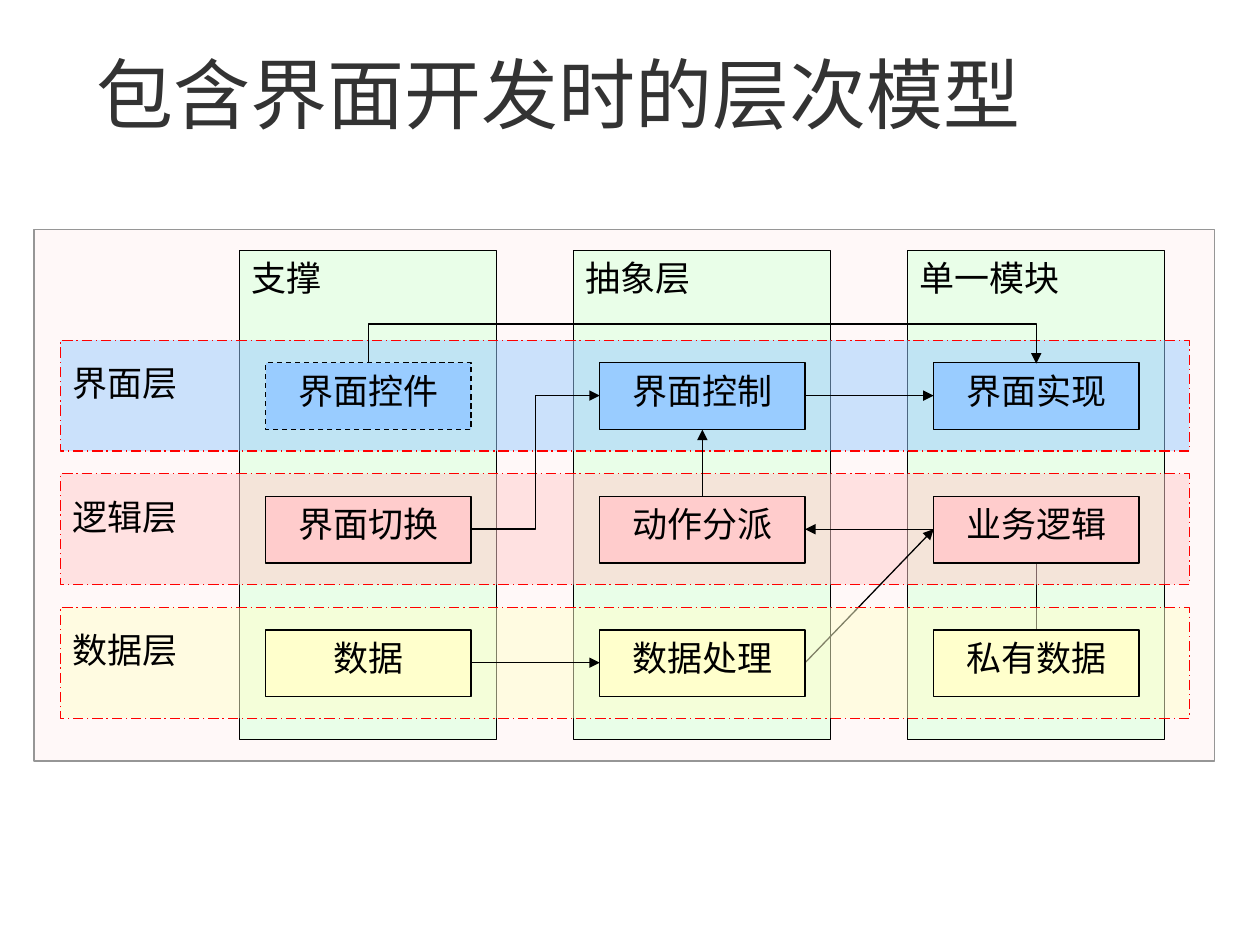
from dataclasses import dataclass
from lxml.etree import SubElement
from pptx import Presentation
from pptx.dml.color import RGBColor
from pptx.enum.dml import MSO_LINE
from pptx.enum.shapes import MSO_CONNECTOR, MSO_SHAPE
from pptx.enum.text import MSO_ANCHOR, PP_ALIGN
from pptx.oxml.ns import qn
from pptx.util import Inches, Pt


@dataclass(frozen=True)
class Theme:
    font: str = "Noto Sans CJK SC"
    title_size: int = 44
    body_size: int = 20
    line_width: float = 0.75
    title: str = "333333"
    ink: str = "000000"
    panel: str = "FFEFEF"
    panel_line: str = "969696"
    column: str = "E7FFE7"
    band_line: str = "FF0000"
    view: str = "99CCFF"
    logic: str = "FFCCCC"
    data: str = "FFFFCC"


COLUMN_X, ROW_Y, PITCH_X, PITCH_Y = 1.9, 2.7, 2.65, 1.06
COLUMN_W, BAND_H = 2.04, 0.88
BOX_DX, BOX_DY, BOX_W, BOX_H = 0.21, 0.18, 1.63, 0.53


def write_text(tf, text, *, size, color, font, align=PP_ALIGN.LEFT,
               anchor=MSO_ANCHOR.TOP, top=0.05):
    tf.word_wrap = True
    tf.vertical_anchor = anchor
    tf.margin_top = Inches(top)
    p = tf.paragraphs[0]
    p.alignment = align
    r = p.add_run()
    r.text = text
    r.font.size = Pt(size)
    r.font.name = font
    r.font.color.rgb = RGBColor.from_string(color)
    SubElement(r.font._element, qn("a:ea")).set("typeface", font)


class Diagram:
    def __init__(self, slide, theme):
        self.s = slide
        self.theme = theme

    def title(self, text, x, y, w, h):
        t = self.theme
        sp = self.s.shapes.add_textbox(Inches(x), Inches(y), Inches(w), Inches(h))
        write_text(sp.text_frame, text, size=t.title_size, color=t.title,
                   font=t.font, anchor=MSO_ANCHOR.MIDDLE)

    def rect(self, x, y, w, h, fill, *, text="", line=None, dash=None,
             alpha=100, align=PP_ALIGN.JUSTIFY, top=0.05):
        t = self.theme
        sp = self.s.shapes.add_shape(
            MSO_SHAPE.RECTANGLE, Inches(x), Inches(y), Inches(w), Inches(h))
        sp.shadow.inherit = False
        sp.fill.solid()
        sp.fill.fore_color.rgb = RGBColor.from_string(fill)
        if alpha < 100:
            color = sp._element.spPr.find(qn("a:solidFill"))[0]
            SubElement(color, qn("a:alpha")).set("val", str(alpha * 1000))
        sp.line.color.rgb = RGBColor.from_string(line or t.ink)
        sp.line.width = Pt(t.line_width)
        if dash:
            sp.line.dash_style = dash
        if text:
            write_text(sp.text_frame, text, size=t.body_size, color=t.ink,
                       font=t.font, align=align, top=top)

    def column(self, col, text):
        self.rect(COLUMN_X + PITCH_X * col, 1.99, COLUMN_W, 3.88,
                  self.theme.column, text=text, alpha=90)

    def band(self, row, text, fill):
        self.rect(0.48, ROW_Y + PITCH_Y * row, 8.96, BAND_H, fill, text=text,
                  line=self.theme.band_line, dash=MSO_LINE.LONG_DASH_DOT,
                  alpha=50, top=0.17)

    def box(self, col, row, text, fill, dash=None):
        self.rect(left(col), top_edge(row), BOX_W, BOX_H, fill, text=text,
                  dash=dash, align=PP_ALIGN.CENTER)

    def arrow(self, start, end, kind=MSO_CONNECTOR.STRAIGHT):
        t = self.theme
        c = self.s.shapes.add_connector(kind, *map(Inches, (*start, *end)))
        c.line.color.rgb = RGBColor.from_string(t.ink)
        c.line.width = Pt(t.line_width)
        SubElement(c.line._get_or_add_ln(), qn("a:tailEnd")).set("type", "triangle")
        SubElement(c._element.spPr, qn("a:effectLst"))
        return c

    def arch(self, x1, x2, y, rise):
        thin, mid, half = 0.01, (x1 + x2) / 2, (x2 - x1) / 2
        c = self.arrow((mid - thin / 2, y + half), (mid + thin / 2, y - half),
                       MSO_CONNECTOR.ELBOW)
        spPr = c._element.spPr
        spPr.find(qn("a:xfrm")).set("rot", "5400000")
        gd = SubElement(spPr.find(qn("a:prstGeom")).find(qn("a:avLst")), qn("a:gd"))
        gd.set("name", "adj1")
        gd.set("fmla", f"val {round(-rise / thin * 100000)}")


def left(col):
    return COLUMN_X + PITCH_X * col + BOX_DX


def right(col):
    return left(col) + BOX_W


def center(col):
    return left(col) + BOX_W / 2


def top_edge(row):
    return ROW_Y + PITCH_Y * row + BOX_DY


def middle(row):
    return ROW_Y + PITCH_Y * row + BAND_H / 2


def main():
    prs = Presentation()
    prs.slide_width, prs.slide_height = Inches(10), Inches(7.5)
    theme = Theme()
    d = Diagram(prs.slides.add_slide(prs.slide_layouts[6]), theme)

    d.title("包含界面开发时的层次模型", 0.67, 0.22, 8.83, 1.03)
    d.rect(0.27, 1.82, 9.37, 4.22, theme.panel, line=theme.panel_line, alpha=40)
    for col, text in enumerate(("支撑", "抽象层", "单一模块")):
        d.column(col, text)

    def layer(row, name, fill, texts, dashes=(None, None, None)):
        d.band(row, name, fill)
        for col, (text, dash) in enumerate(zip(texts, dashes)):
            d.box(col, row, text, fill, dash)

    d.arrow((center(2), top_edge(2) + BOX_H), (center(2), top_edge(1)))
    layer(1, "逻辑层", theme.logic, ("界面切换", "动作分派", "业务逻辑"))
    d.arrow((left(2), middle(1)), (right(1), middle(1)))
    layer(0, "界面层", theme.view, ("界面控件", "界面控制", "界面实现"),
          (MSO_LINE.DASH, None, None))
    d.arrow((right(1), middle(0)), (left(2), middle(0)))
    d.arrow((right(1), middle(2)), (left(2), middle(1)))
    d.arch(center(0), center(2), top_edge(0), 0.31)
    d.arrow((right(0), middle(1)), (left(1), middle(0)), MSO_CONNECTOR.ELBOW)
    layer(2, "数据层", theme.data, ("数据", "数据处理", "私有数据"))
    d.arrow((right(0), middle(2)), (left(1), middle(2)))
    d.arrow((center(1), top_edge(1)), (center(1), top_edge(0) + BOX_H))

    prs.save("out.pptx")


if __name__ == "__main__":
    main()
